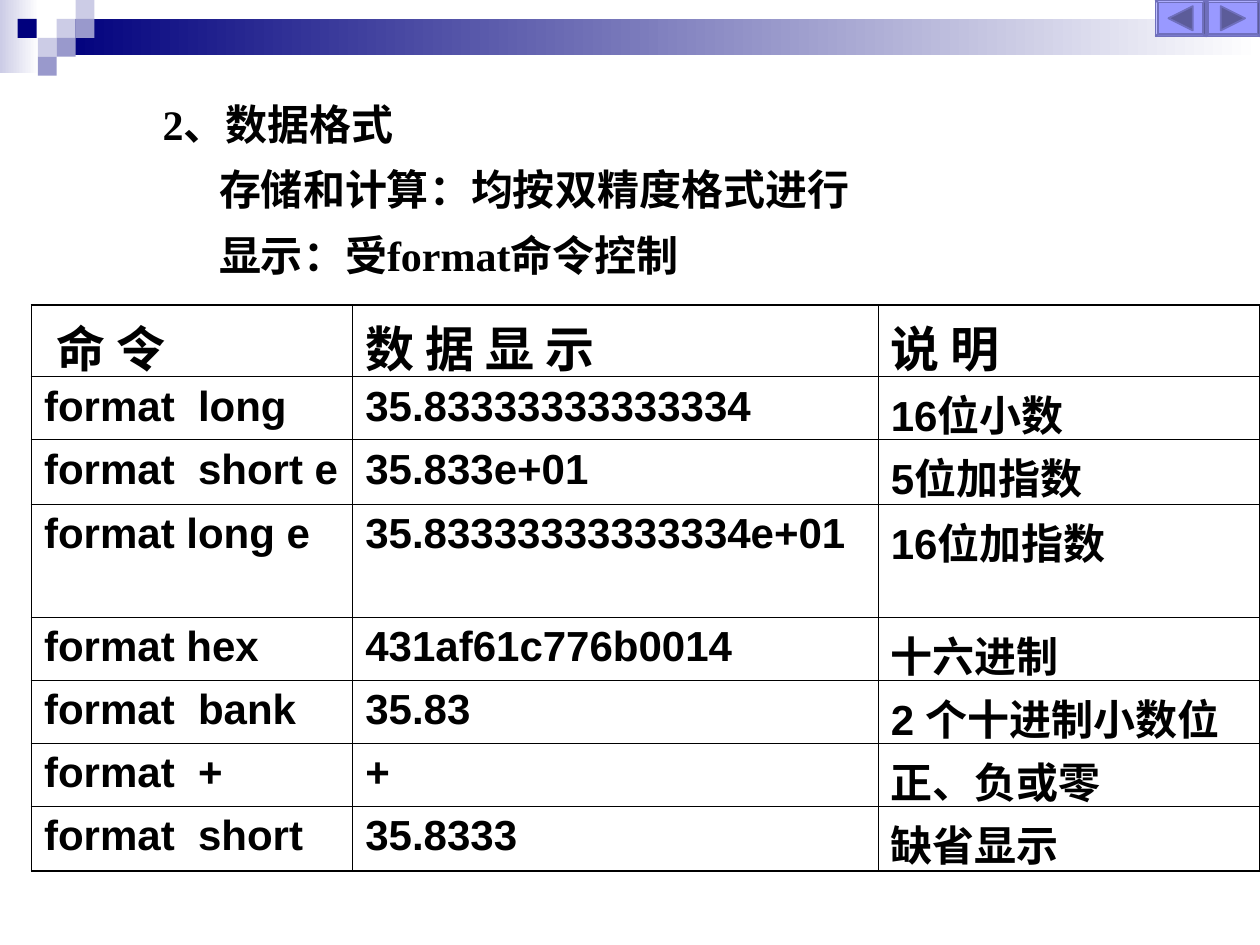
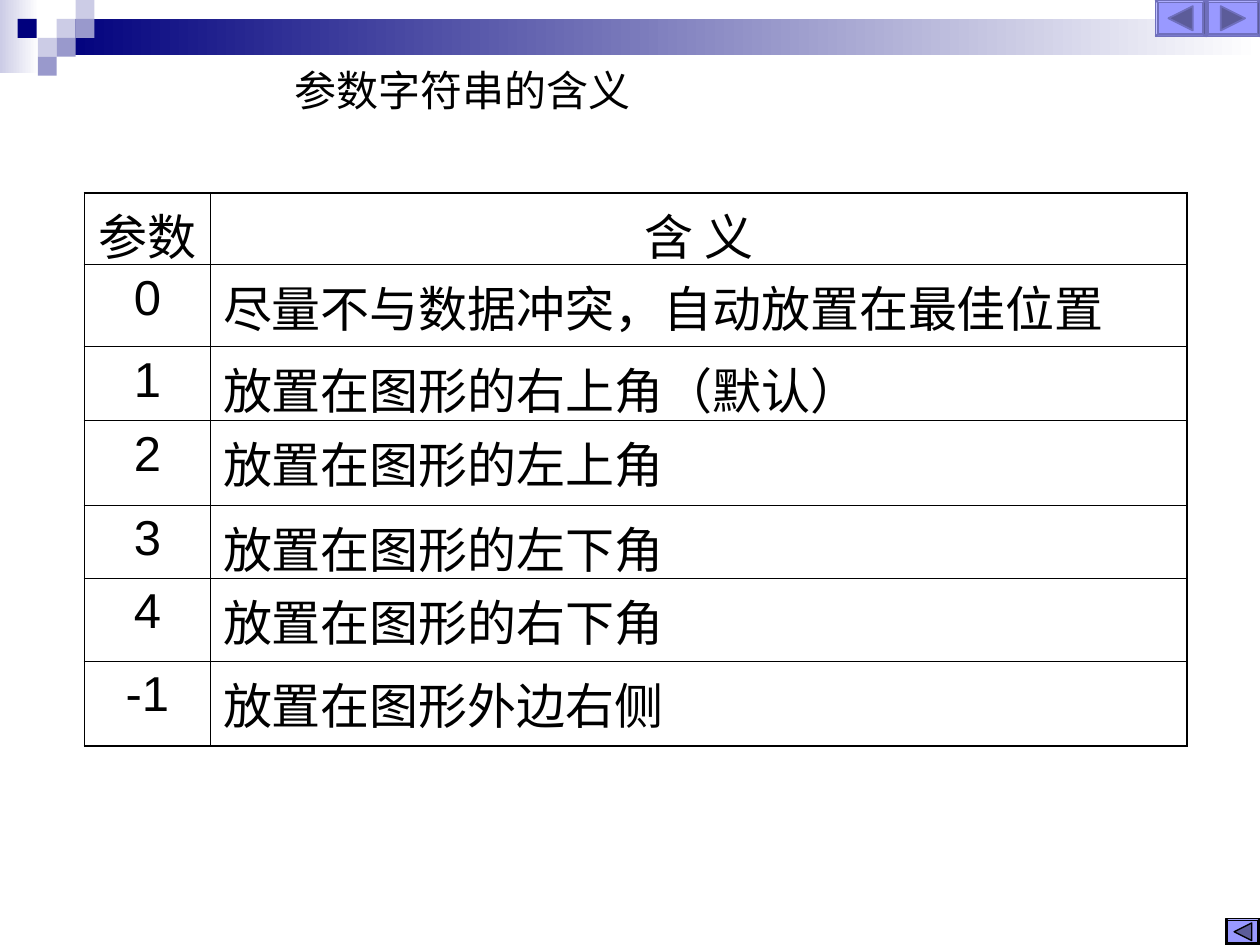
from dataclasses import dataclass

from lxml import etree
from pptx import Presentation
from pptx.dml.color import RGBColor
from pptx.enum.shapes import MSO_SHAPE
from pptx.enum.text import MSO_ANCHOR, PP_ALIGN
from pptx.oxml.ns import qn
from pptx.util import Inches, Pt

RECTANGLE = MSO_SHAPE.RECTANGLE
BEVEL = MSO_SHAPE.BEVEL
LEFT, CENTER = PP_ALIGN.LEFT, PP_ALIGN.CENTER
TOP = MSO_ANCHOR.TOP

BLACK, WHITE = "000000", "FFFFFF"
NAVY, LAVENDER, PALE = "00007D", "9999CC", "CCCCE6"
BUTTON, BUTTON_EDGE, ARROW = "9999FF", "6F6FBC", "5C5C99"
SQUARE = 0.15
OUTER_BORDER, INNER_BORDER = 1.08, 0.45


@dataclass
class Block:
    left: float
    top: float
    color: str
    width: float = SQUARE
    height: float = SQUARE
    fades: bool = False


@dataclass
class NavigationButton:
    left: float
    top: float
    width: float
    height: float
    direction: int
    edge: str = BUTTON_EDGE
    edge_width: float = 1


@dataclass
class TextArea:
    left: float
    top: float
    width: float
    height: float
    bold: bool = False
    line_spacing: float = 1.0
    indent: float = 0


@dataclass
class TableDesign:
    left: float
    top: float
    columns: list[float]
    heights: list[float]
    alignments: list
    header_alignment: object
    body_size: int
    bold: bool
    bottom_margin: float


BAND_BLOCKS = [
    Block(0, 0, PALE, 0.31, 0.58, True),
    Block(0.45, 0.15, NAVY, 9.55, 0.29, True),
    Block(0.45, 0.15, PALE),
    Block(0.6, 0, PALE),
    Block(0.6, 0.15, LAVENDER),
    Block(0.3, 0.3, PALE),
    Block(0.14, 0.15, NAVY),
    Block(0.45, 0.3, LAVENDER),
    Block(0.3, 0.45, LAVENDER),
]
PAGE_BUTTONS = [
    NavigationButton(9.57, 0, 0.43, 0.29, 1),
    NavigationButton(9.17, 0, 0.4, 0.29, -1),
]
RETURN_BUTTON = NavigationButton(9.73, 7.29, 0.27, 0.21, -1, BLACK, 0.75)

FORMAT_ROWS = [
    ("命 令", "数 据 显 示", "说 明"),
    ("format  long", "35.83333333333334", "16位小数"),
    ("format  short e", "35.833e+01", "5位加指数"),
    ("format long e", "35.83333333333334e+01", "16位加指数"),
    ("format hex", "431af61c776b0014", "十六进制"),
    ("format  bank", "35.83", "2 个十进制小数位"),
    ("format  +", "+", "正、负或零"),
    ("format  short", "35.8333", "缺省显示"),
]
FORMAT_DESIGN = TableDesign(
    0.25, 2.42, [2.55, 4.17, 3.03], [0.57, 0.5, 0.51, 0.9, 0.5, 0.5, 0.5, 0.51],
    [LEFT, LEFT, LEFT], LEFT, 24, True, 0.05)

POSITION_ROWS = [
    ("参数", "含 义"),
    ("0", "尽量不与数据冲突，自动放置在最佳位置"),
    ("1", "放置在图形的右上角（默认）"),
    ("2", "放置在图形的左上角"),
    ("3", "放置在图形的左下角"),
    ("4", "放置在图形的右下角"),
    ("-1", "放置在图形外边右侧"),
]
POSITION_DESIGN = TableDesign(
    0.67, 1.53, [1, 7.75], [0.57, 0.65, 0.59, 0.67, 0.58, 0.66, 0.67],
    [CENTER, LEFT], CENTER, 28, False, -0.05)


def rgb(color: str) -> RGBColor:
    return RGBColor.from_string(color)


def set_attributes(target, values: dict) -> None:
    for name, value in values.items():
        setattr(target, name, value)


def format_font(font, name: str, size: float, bold: bool) -> None:
    set_attributes(font, {"name": name, "size": Pt(size), "bold": bold})
    font.color.rgb = rgb(BLACK)


def set_indent(paragraph, indent: float) -> None:
    properties = paragraph._p.get_or_add_pPr()
    properties.set("marL", str(Inches(indent)))
    properties.set("indent", "0")


def paint(shape, color: str, edge: str | None = None, edge_width: float = 1) -> None:
    shape.shadow.inherit = False
    shape.fill.solid()
    shape.fill.fore_color.rgb = rgb(color)
    if edge is None:
        shape.line.fill.background()
    else:
        shape.line.color.rgb = rgb(edge)
        shape.line.width = Pt(edge_width)


def add_band_to_layout(slide, layout) -> None:
    tree = layout.shapes.element
    for index, block in enumerate(BAND_BLOCKS):
        shape = slide.shapes.add_shape(
            RECTANGLE, Inches(block.left), Inches(block.top),
            Inches(block.width), Inches(block.height))
        paint(shape, block.color)
        if block.fades:
            shape.fill.gradient()
            shape.fill.gradient_angle = 0
            for stop, color in zip(shape.fill.gradient_stops, (block.color, WHITE)):
                stop.color.rgb = rgb(color)
        shape.element.nvSpPr.cNvPr.set("id", str(100 + index))
        tree.insert(2 + index, shape.element)


def add_button(slide, button: NavigationButton) -> None:
    frame = slide.shapes.add_shape(
        BEVEL, Inches(button.left), Inches(button.top),
        Inches(button.width), Inches(button.height))
    frame.adjustments[0] = 0.07
    paint(frame, BUTTON, button.edge, button.edge_width)
    half = button.height / 3
    center_x = button.left + button.width / 2
    center_y = button.top + button.height / 2
    back = Inches(center_x - half * button.direction)
    tip = Inches(center_x + half * button.direction)
    builder = slide.shapes.build_freeform(back, Inches(center_y - half))
    builder.add_line_segments(
        [(tip, Inches(center_y)), (back, Inches(center_y + half))], close=True)
    paint(builder.convert_to_shape(), ARROW, button.edge, button.edge_width)


def fill_text(shape, area: TextArea, lines: list[str]) -> None:
    set_attributes(shape, {
        "left": Inches(area.left), "top": Inches(area.top),
        "width": Inches(area.width), "height": Inches(area.height)})
    frame = shape.text_frame
    set_attributes(frame, {
        "word_wrap": True, "vertical_anchor": TOP,
        "margin_left": Inches(0.1), "margin_right": Inches(0.1),
        "margin_top": Inches(0.05), "margin_bottom": Inches(0.05)})
    frame.text = "\n".join(lines)
    for paragraph in frame.paragraphs:
        set_attributes(paragraph, {
            "alignment": LEFT, "line_spacing": area.line_spacing})
        set_indent(paragraph, area.indent)
        format_font(paragraph.font, "Times New Roman", 24, area.bold)


def add_borders(cell, outer_sides: dict[str, bool]) -> None:
    properties = cell._tc.get_or_add_tcPr()
    for index, (side, is_outer) in enumerate(outer_sides.items()):
        line = etree.Element(qn(f"a:ln{side}"))
        line.set("w", str(Pt(OUTER_BORDER if is_outer else INNER_BORDER)))
        fill = etree.SubElement(line, qn("a:solidFill"))
        etree.SubElement(fill, qn("a:srgbClr")).set("val", BLACK)
        properties.insert(index, line)


def add_grid(slide, design: TableDesign, rows: list[tuple]):
    table = slide.shapes.add_table(
        len(rows), len(design.columns), Inches(design.left), Inches(design.top),
        Inches(sum(design.columns)), Inches(sum(design.heights))).table
    set_attributes(table, {"first_row": False, "horz_banding": False})
    for column, width in zip(table.columns, design.columns):
        column.width = Inches(width)
    last_row, last_column = len(rows) - 1, len(design.columns) - 1
    for row_index, texts in enumerate(rows):
        table.rows[row_index].height = Inches(design.heights[row_index])
        is_header = row_index == 0
        for column_index, text in enumerate(texts):
            cell = table.cell(row_index, column_index)
            cell.text = text
            cell.margin_bottom = Inches(design.bottom_margin)
            cell.fill.background()
            add_borders(cell, {
                "L": column_index == 0, "R": column_index == last_column,
                "T": is_header, "B": row_index == last_row})
            paragraph = cell.text_frame.paragraphs[0]
            paragraph.alignment = (
                design.header_alignment if is_header else design.alignments[column_index])
            format_font(paragraph.font, "Arial",
                        28 if is_header else design.body_size, design.bold)
    return table


def build_format_slide(slide) -> None:
    fill_text(slide.shapes.title, TextArea(1.19, 0.61, 5.65, 0.62, True, 1.3),
              ["2、数据格式"])
    body = slide.shapes.add_textbox(0, 0, 0, 0)
    fill_text(body, TextArea(1.19, 1.13, 6.3, 1.14, True, 1.3, 0.45),
              ["存储和计算：均按双精度格式进行", "显示：受format命令控制"])
    table = add_grid(slide, FORMAT_DESIGN, FORMAT_ROWS)
    set_indent(table.cell(0, 0).text_frame.paragraphs[0], 0.1)


def build_position_slide(slide) -> None:
    add_grid(slide, POSITION_DESIGN, POSITION_ROWS)
    fill_text(slide.shapes.title, TextArea(2.24, 0.46, 3.2, 0.5), ["参数字符串的含义"])
    add_button(slide, RETURN_BUTTON)


def main() -> None:
    presentation = Presentation()
    presentation.slide_width = Inches(10)
    presentation.slide_height = Inches(7.5)
    layout = presentation.slide_layouts.get_by_name("Title Only")
    for index, build in enumerate((build_format_slide, build_position_slide)):
        slide = presentation.slides.add_slide(layout)
        if index == 0:
            add_band_to_layout(slide, layout)
        build(slide)
        for button in PAGE_BUTTONS:
            add_button(slide, button)
    presentation.save("out.pptx")


if __name__ == "__main__":
    main()
